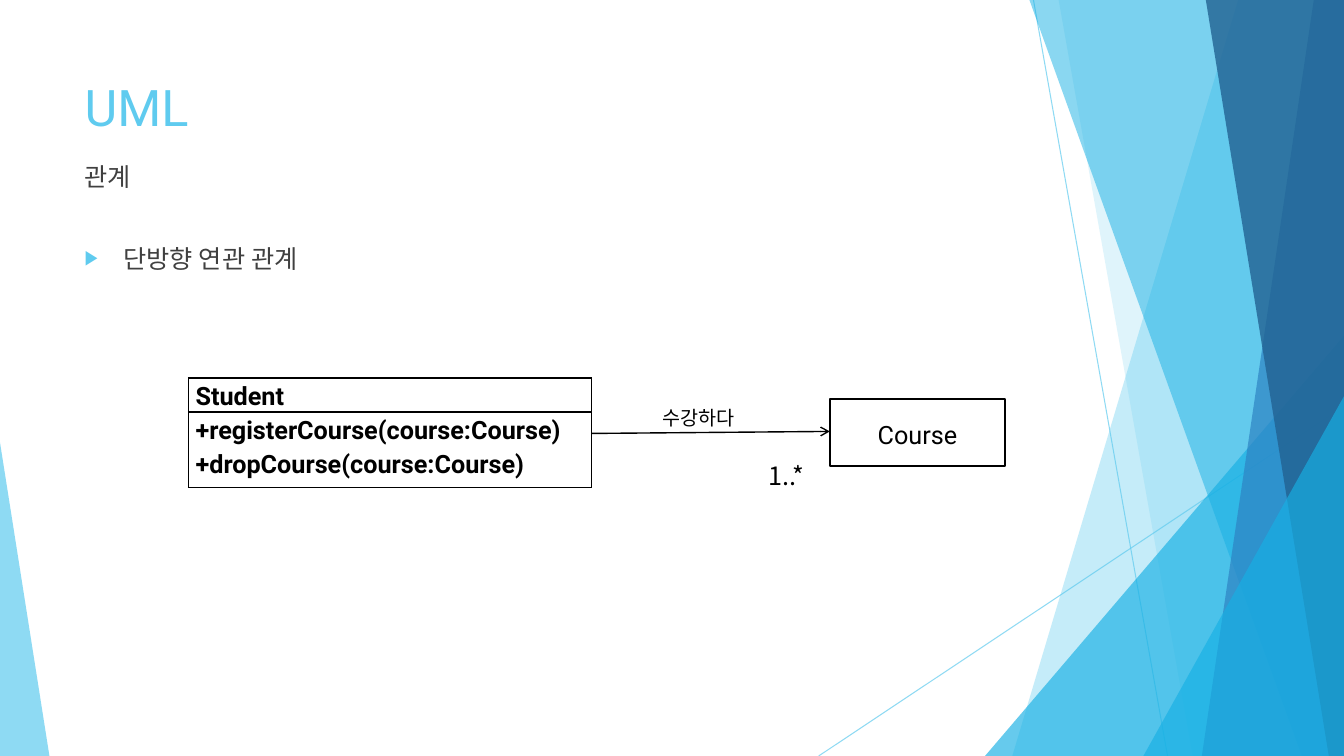
from lxml.etree import SubElement
from pptx import Presentation
from pptx.dml.color import RGBColor
from pptx.enum.shapes import MSO_CONNECTOR, MSO_SHAPE
from pptx.enum.text import MSO_ANCHOR, MSO_AUTO_SIZE, PP_ALIGN
from pptx.oxml.ns import qn
from pptx.util import Inches, Pt

SKY = RGBColor(0x5F, 0xCB, 0xEF)
CYAN = RGBColor(0x17, 0xB0, 0xE4)
BLUE = RGBColor(0x2E, 0x83, 0xC3)
NAVY = RGBColor(0x22, 0x62, 0x92)
GRAY = RGBColor(0x40, 0x40, 0x40)
BLACK = RGBColor(0, 0, 0)
WHITE = RGBColor(0xFF, 0xFF, 0xFF)
ROBOTO = "Roboto"
NOTO = "Noto Sans CJK KR"
WIDTH, HEIGHT = 13.33, 7.5


def set_alpha(sp, percent):
    for clr in sp._element.spPr.iter(qn("a:srgbClr")):
        SubElement(clr, qn("a:alpha"), val=str(percent * 1000))


def format_runs(p, size, color, font=ROBOTO, bold=False):
    for r in p.runs:
        r.font.size = Pt(size)
        r.font.name = font
        r.font.bold = bold
        r.font.color.rgb = color
        SubElement(r._r.get_or_add_rPr(), qn("a:ea"), typeface=font)


def place(sp, left, top, width, height):
    sp.left, sp.top = Inches(left), Inches(top)
    sp.width, sp.height = Inches(width), Inches(height)


def fill_facet(sp, color, alpha):
    sp.shadow.inherit = False
    sp.fill.solid()
    sp.fill.fore_color.rgb = color
    sp.line.fill.background()
    set_alpha(sp, alpha)


def add_band(shapes, top_x, bottom_x, color, alpha, top_right=WIDTH):
    builder = shapes.build_freeform(Inches(top_x), 0)
    corners = [(top_right, 0), (WIDTH, HEIGHT), (bottom_x, HEIGHT)]
    if top_right != top_x:
        corners.insert(1, (WIDTH, 0))
    builder.add_line_segments([(Inches(x), Inches(y)) for x, y in corners])
    fill_facet(builder.convert_to_shape(), color, alpha)


def add_triangle(shapes, left, top, width, apex, color, alpha):
    sp = shapes.add_shape(MSO_SHAPE.ISOSCELES_TRIANGLE, Inches(left), Inches(top),
                          Inches(width), Inches(HEIGHT - top))
    sp.adjustments[0] = apex
    fill_facet(sp, color, alpha)


def add_line(shapes, start, end, color, width):
    line = shapes.add_connector(MSO_CONNECTOR.STRAIGHT,
                                *[Inches(v) for v in start + end])
    line.line.color.rgb = color
    line.line.width = Pt(width)
    SubElement(line._element.spPr, qn("a:effectLst"))
    return line


def add_decoration(slide):
    shapes = slide.shapes.add_group_shape().shapes
    for start, end in [((10.25, 0), (11.58, HEIGHT)), ((WIDTH, 4.03), (8.12, HEIGHT))]:
        set_alpha(add_line(shapes, start, end, SKY, 0.75), 70)
    add_band(shapes, 12.28, 10.04, SKY, 36)
    add_band(shapes, 10.5, 11.83, SKY, 20)
    add_triangle(shapes, 9.77, 3.33, 3.56, 1, CYAN, 66)
    add_band(shapes, 10.21, 12.91, CYAN, 50)
    add_band(shapes, 13.03, 11.92, BLUE, 70)
    add_band(shapes, 11.96, 13.18, NAVY, 80)
    add_triangle(shapes, 11.34, 3.93, 1.99, 1, CYAN, 66)
    add_triangle(shapes, 0, 4.39, 0.49, 0, SKY, 70)


def fill_text(sp, text, size, color, anchor=MSO_ANCHOR.TOP):
    tf = sp.text_frame
    tf.text = text
    tf.word_wrap = True
    tf.auto_size = MSO_AUTO_SIZE.NONE
    tf.vertical_anchor = anchor
    p = tf.paragraphs[0]
    p.alignment = PP_ALIGN.LEFT
    format_runs(p, size, color)
    return p


def add_bullet(p, indent, color):
    pPr = p._p.get_or_add_pPr()
    pPr.set("marL", str(Inches(indent)))
    pPr.set("indent", str(-Inches(indent)))
    SubElement(SubElement(pPr, qn("a:buClr")), qn("a:srgbClr"), val=str(color))
    SubElement(pPr, qn("a:buSzPct"), val="80000")
    SubElement(pPr, qn("a:buFont"), typeface="Arial")
    SubElement(pPr, qn("a:buChar"), char="▶")


def add_headings(slide):
    title, body = slide.shapes.title, slide.placeholders[1]
    place(title, 0.74, 0.67, 9.4, 0.76)
    fill_text(title, "UML", 36, SKY, MSO_ANCHOR.MIDDLE)
    place(body, 0.74, 2.36, 9.4, 0.93)
    p = fill_text(body, "단방향 연관 관계", 18, GRAY)
    p.space_before = Pt(10)
    add_bullet(p, 0.38, SKY)
    subtitle = slide.shapes.add_textbox(Inches(0.74), Inches(1.55), Inches(9.4), Inches(0.68))
    fill_text(subtitle, "관계", 18, GRAY).space_before = Pt(10)


def add_borders(cell, color, width):
    tcPr = cell._tc.get_or_add_tcPr()
    for side in ("lnL", "lnR", "lnT", "lnB"):
        ln = SubElement(tcPr, qn("a:" + side), w=str(Pt(width)))
        SubElement(SubElement(ln, qn("a:solidFill")), qn("a:srgbClr"), val=str(color))


def add_class_table(slide, rows, heights):
    frame = slide.shapes.add_table(len(rows), 1, Inches(1.87), Inches(3.75),
                                   Inches(4), Inches(sum(heights)))
    table = frame.table
    table.first_row = table.horz_banding = False
    for i, (text, height) in enumerate(zip(rows, heights)):
        table.rows[i].height = Inches(height)
        cell = table.cell(i, 0)
        cell.margin_left = cell.margin_right = Inches(0.07)
        cell.margin_top = cell.margin_bottom = 0
        add_borders(cell, BLACK, 1)
        cell.fill.solid()
        cell.fill.fore_color.rgb = WHITE
        cell.text_frame.text = text
        for p in cell.text_frame.paragraphs:
            p.alignment = PP_ALIGN.JUSTIFY
            p.line_spacing = 1.15
            format_runs(p, 18, BLACK, bold=True)


def add_box(shapes, text, box, size, font, line_color=WHITE, line_width=0.75,
            align=PP_ALIGN.JUSTIFY, anchor=MSO_ANCHOR.TOP, space_after=10):
    sp = shapes.add_shape(MSO_SHAPE.RECTANGLE, *[Inches(v) for v in box])
    sp.shadow.inherit = False
    sp.fill.solid()
    sp.fill.fore_color.rgb = WHITE
    sp.line.color.rgb = line_color
    sp.line.width = Pt(line_width)
    tf = sp.text_frame
    tf.text = text
    tf.word_wrap = True
    tf.vertical_anchor = anchor
    p = tf.paragraphs[0]
    p.alignment = align
    p.line_spacing = 1.15
    p.space_after = Pt(space_after)
    format_runs(p, size, BLACK, font)


def add_association(slide):
    shapes = slide.shapes.add_group_shape().shapes
    arrow = add_line(shapes, (5.87, 4.3), (8.23, 4.28), BLACK, 1)
    SubElement(arrow.line._get_or_add_ln(), qn("a:tailEnd"), type="arrow")
    add_box(shapes, "Course", (8.23, 3.96, 1.74, 0.66), 18, ROBOTO, BLACK, 1.5,
            PP_ALIGN.CENTER, MSO_ANCHOR.MIDDLE, 0)
    add_box(shapes, "1..*", (7.52, 4.47, 0.56, 0.35), 18, NOTO)
    add_box(shapes, "수강하다", (6.47, 3.94, 1.16, 0.25), 14, NOTO)


def main():
    prs = Presentation()
    prs.slide_width, prs.slide_height = Inches(WIDTH), Inches(HEIGHT)
    slide = prs.slides.add_slide(prs.slide_layouts[1])
    add_decoration(slide)
    add_headings(slide)
    add_class_table(slide, ["Student", "+registerCourse(course:Course)\n+dropCourse(course:Course)"],
                    [0.24, 0.75])
    add_association(slide)
    prs.save("out.pptx")


main()
